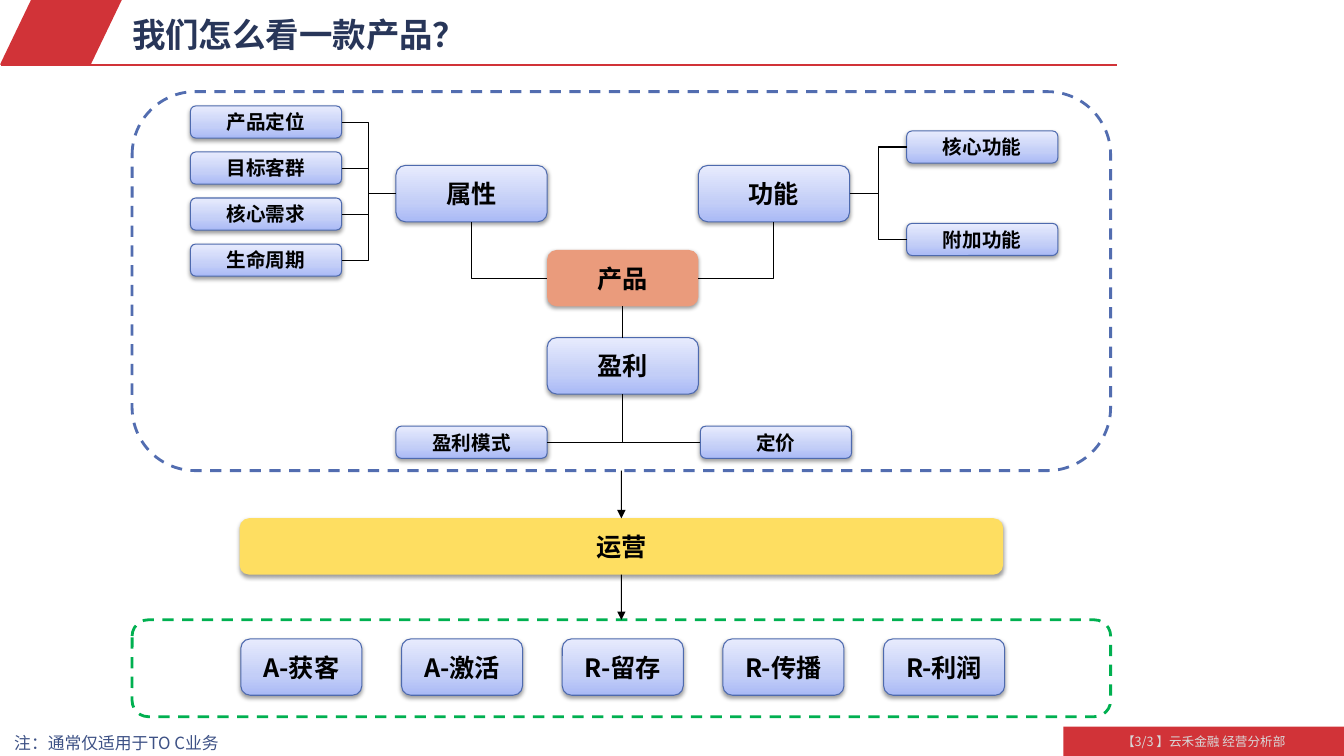
import copy
from dataclasses import dataclass

import lxml.etree
import pptx
import pptx.dml.color
import pptx.enum.dml
import pptx.enum.shapes
import pptx.enum.text
import pptx.oxml.ns
import pptx.util

Cm = pptx.util.Cm
Pt = pptx.util.Pt
qn = pptx.oxml.ns.qn
SHAPE = pptx.enum.shapes.MSO_SHAPE
CONNECTOR = pptx.enum.shapes.MSO_CONNECTOR
ALIGN = pptx.enum.text.PP_ALIGN
ANCHOR = pptx.enum.text.MSO_ANCHOR

FONT = "Noto Sans CJK SC"
RED = "D13338"
BLACK = "000000"
BOX_GRADIENT = ((0, "A9B9F6"), (0.35, "C3CEF7"), (1, "E7EBFD"))
TOP, LEFT, BOTTOM, RIGHT = range(4)


@dataclass(frozen=True)
class Box:
    """A rounded box; lengths in centimetres, gradient unless fill is set."""
    text: str
    left: float
    top: float
    width: float = 3.81
    height: float = 1.42
    size: float = 18
    fill: str = ""


@dataclass(frozen=True)
class Link:
    """A connector between two sides of named shapes."""
    start: str
    start_side: int
    end: str
    end_side: int
    corner: bool = False
    straight: bool = False
    arrow: bool = False


def tag(text: str, left: float, top: float) -> Box:
    return Box(text, left, top, height=0.81, size=14)


def color(value: str) -> pptx.dml.color.RGBColor:
    return pptx.dml.color.RGBColor.from_string(value)


def write(shape, text: str, size: float, text_color: str, bold: bool = False,
          align=ALIGN.LEFT, anchor=ANCHOR.MIDDLE) -> None:
    frame = shape.text_frame
    frame.word_wrap = True
    frame.vertical_anchor = anchor
    paragraph = frame.paragraphs[0]
    paragraph.alignment = align
    run = paragraph.add_run()
    run.text = text
    for name, value in {"name": FONT, "size": Pt(size), "bold": bold}.items():
        setattr(run.font, name, value)
    run.font.color.rgb = color(text_color)
    properties = run.font._element if hasattr(run.font, "_element") else run._r.get_or_add_rPr()
    lxml.etree.SubElement(properties, qn("a:ea"), typeface=FONT)


def add_label(slide, text: str, bounds: tuple, size: float, text_color: str,
              bold: bool = False, anchor=ANCHOR.MIDDLE) -> None:
    shape = slide.shapes.add_textbox(*map(Cm, bounds))
    for side in ("left", "top", "right", "bottom"):
        setattr(shape.text_frame, f"margin_{side}", 0)
    write(shape, text, size, text_color, bold, anchor=anchor)


def add_plain(slide, kind, bounds: tuple, fill: str):
    shape = slide.shapes.add_shape(kind, *map(Cm, bounds))
    shape.shadow.inherit = False
    shape.fill.solid()
    shape.fill.fore_color.rgb = color(fill)
    shape.line.fill.background()
    return shape


def add_frame(slide, bounds: tuple, line_color: str):
    shape = slide.shapes.add_shape(SHAPE.ROUNDED_RECTANGLE, *map(Cm, bounds))
    shape.shadow.inherit = False
    shape.fill.background()
    shape.line.color.rgb = color(line_color)
    shape.line.width = Pt(2)
    shape.line.dash_style = pptx.enum.dml.MSO_LINE.DASH
    return shape


def add_soft_shadow(shape) -> None:
    effects = shape.element.spPr.find(qn("a:effectLst"))
    shadow = lxml.etree.SubElement(effects, qn("a:outerShdw"), blurRad="40000",
                                   dist="20000", dir="5400000", rotWithShape="0")
    shade = lxml.etree.SubElement(shadow, qn("a:srgbClr"), val=BLACK)
    lxml.etree.SubElement(shade, qn("a:alpha"), val="38000")


def add_box(slide, box: Box):
    bounds = (box.left, box.top, box.width, box.height)
    shape = add_plain(slide, SHAPE.ROUNDED_RECTANGLE, bounds, box.fill or "FFFFFF")
    if not box.fill:
        shape.fill.gradient()
        shape.fill.gradient_angle = 90
        stops = shape.element.spPr.find(f".//{qn('a:gsLst')}")
        stops.insert(1, copy.deepcopy(stops[0]))
        for stop, (position, value) in zip(shape.fill.gradient_stops, BOX_GRADIENT):
            stop.position = position
            stop.color.rgb = color(value)
        shape.line.color.rgb = color("4E6AAE")
        shape.line.width = Pt(0.75)
    add_soft_shadow(shape)
    write(shape, box.text, box.size, BLACK, True, ALIGN.CENTER)
    return shape


def add_line(slide, kind, ends: tuple, line_color: str, width: float):
    connector = slide.shapes.add_connector(kind, *map(Cm, ends))
    connector.line.color.rgb = color(line_color)
    connector.line.width = Pt(width)
    lxml.etree.SubElement(connector.element.spPr, qn("a:effectLst"))
    return connector


def add_link(slide, link: Link, shapes: dict) -> None:
    kind = CONNECTOR.STRAIGHT if link.straight else CONNECTOR.ELBOW
    connector = add_line(slide, kind, (0, 0, 0, 0), BLACK, 0.75)
    connector.begin_connect(shapes[link.start], link.start_side)
    connector.end_connect(shapes[link.end], link.end_side)
    if link.corner:
        connector.element.spPr.find(qn("a:prstGeom")).set("prst", "bentConnector2")
    if link.arrow:
        line = connector.element.spPr.find(qn("a:ln"))
        lxml.etree.SubElement(line, qn("a:tailEnd"), type="triangle")


ATTRIBUTES = ("产品定位", "目标客群", "核心需求", "生命周期")
FUNCTIONS = ("核心功能", "附加功能")
STAGES = ("A-获客", "A-激活", "R-留存", "R-传播", "R-利润")

BOXES = [
    Box("产品", 13.79, 6.3, fill="EA9B7C"),
    Box("属性", 9.98, 4.17),
    Box("功能", 17.6, 4.17),
    Box("盈利", 13.79, 8.51),
    Box("运营", 6.04, 13.06, width=19.24, fill="FEDE61"),
    tag("盈利模式", 9.98, 10.74),
    tag("定价", 17.65, 10.74),
    *(tag(text, 4.8, 2.67 + 1.16 * row) for row, text in enumerate(ATTRIBUTES)),
    *(tag(text, 22.85, 3.3 + 2.33 * row) for row, text in enumerate(FUNCTIONS)),
    *(Box(text, 6.07 + 4.05 * column, 16.1, width=3.05)
      for column, text in enumerate(STAGES)),
]

LINKS = [
    Link("产品", LEFT, "属性", BOTTOM, corner=True),
    Link("产品", RIGHT, "功能", BOTTOM, corner=True),
    Link("盈利模式", RIGHT, "盈利", BOTTOM, corner=True),
    Link("定价", LEFT, "盈利", BOTTOM, corner=True),
    *(Link(text, RIGHT, "属性", LEFT) for text in ATTRIBUTES),
    *(Link("功能", RIGHT, text, LEFT) for text in FUNCTIONS),
    Link("产品", BOTTOM, "盈利", TOP, straight=True),
    Link("product frame", BOTTOM, "运营", TOP, straight=True, arrow=True),
    Link("运营", BOTTOM, "stage frame", TOP, straight=True, arrow=True),
]


def main() -> None:
    presentation = pptx.Presentation()
    presentation.slide_width = Cm(33.87)
    presentation.slide_height = Cm(19.05)
    slide = presentation.slides.add_slide(presentation.slide_layouts[6])

    # Header and footer
    add_line(slide, CONNECTOR.STRAIGHT, (0.03, 1.63, 28.14, 1.63), RED, 1.5)
    corner = add_plain(slide, SHAPE.PARALLELOGRAM, (0, 0, 3.07, 1.63), RED)
    corner.adjustments[0] = 0.48
    footer = add_plain(slide, SHAPE.RECTANGLE, (26.8, 18.31, 7.07, 0.74), RED)
    write(footer, "【3/3 】云禾金融 经营分析部", 9, "D9D9D9", align=ALIGN.CENTER)
    add_label(slide, "我们怎么看一款产品？", (3.33, 0.36, 23.72, 1.02), 23.9, "283659", True)
    add_label(slide, "注：通常仅适用于TO C业务", (0.36, 18.47, 5.72, 0.51), 12, "3D5185",
              anchor=ANCHOR.TOP)

    # Dashed frames, boxes and the links between them
    shapes = {
        "product frame": add_frame(slide, (3.33, 2.31, 24.66, 9.55), "526DB0"),
        "stage frame": add_frame(slide, (3.33, 15.62, 24.66, 2.44), "00B050"),
    }
    for box in BOXES:
        shapes[box.text] = add_box(slide, box)
    for link in LINKS:
        add_link(slide, link, shapes)

    presentation.save("out.pptx")


if __name__ == "__main__":
    main()
